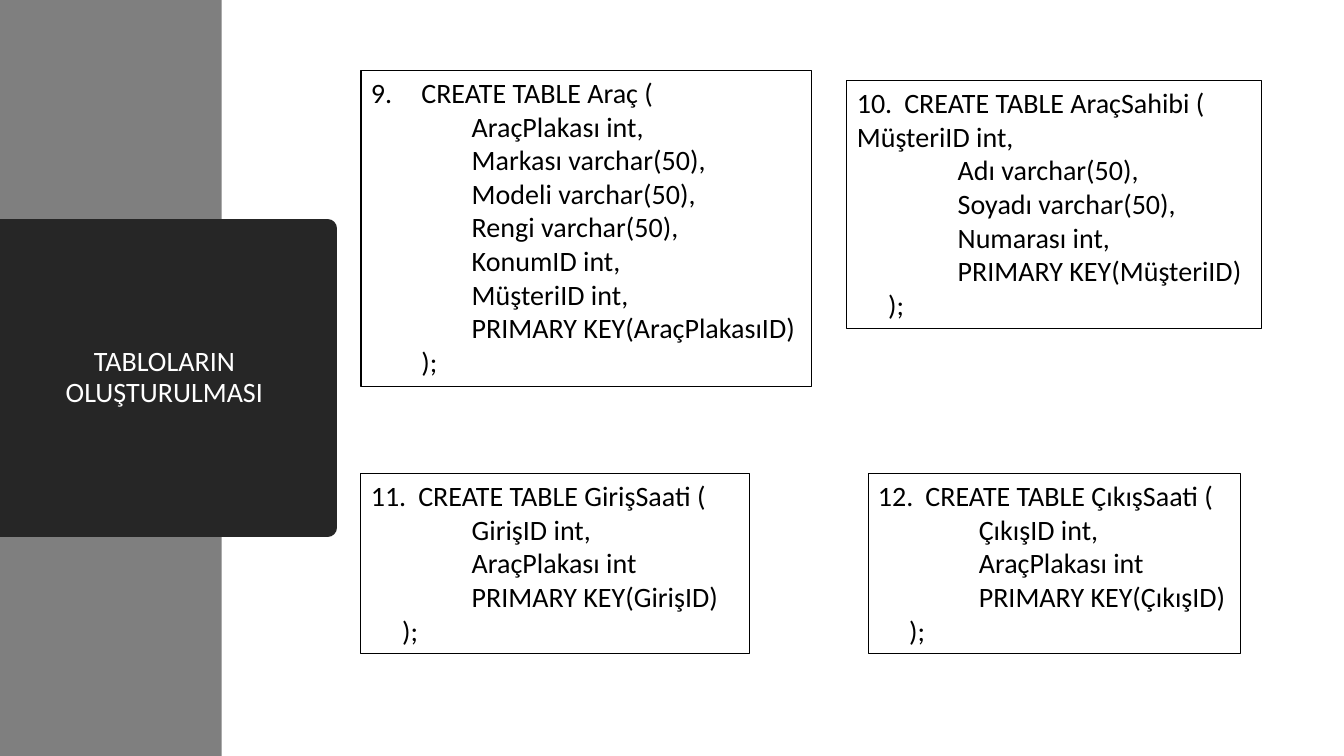
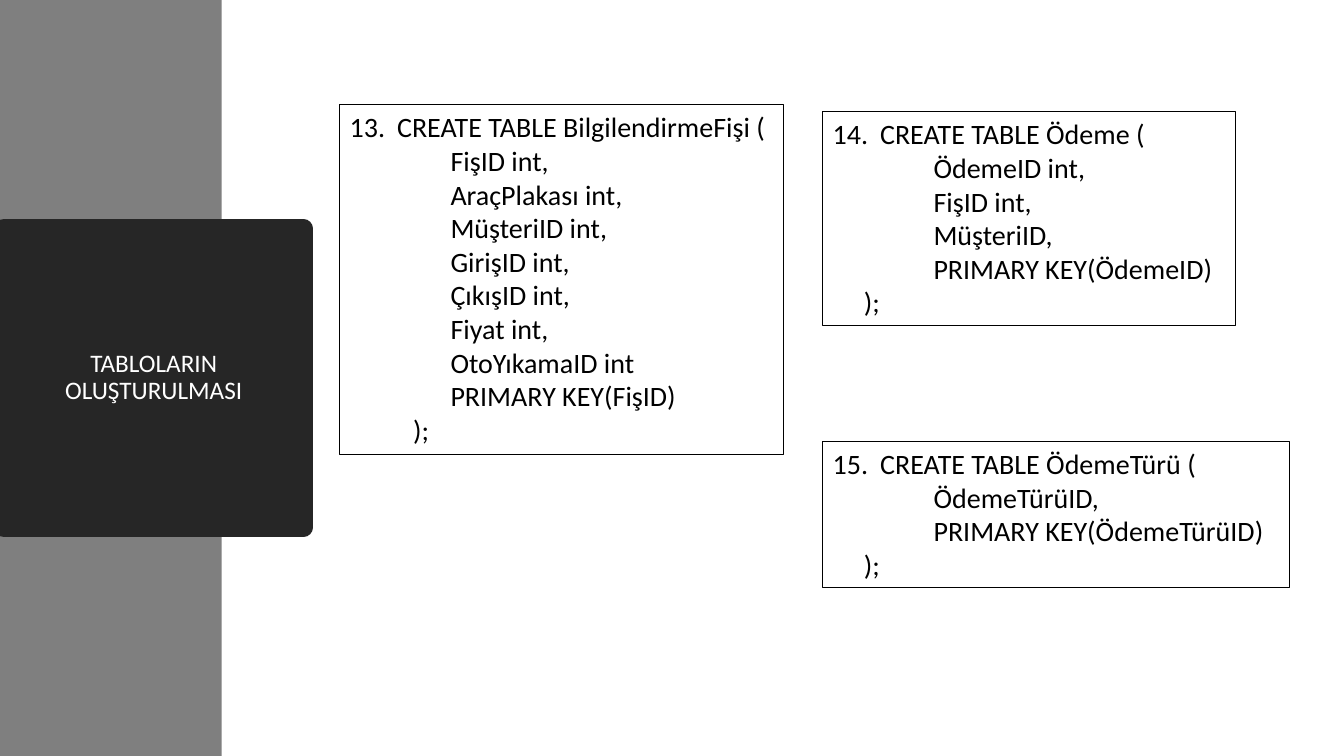
from lxml.etree import SubElement as Sub
from pptx import Presentation
from pptx.dml.color import RGBColor as Rgb
from pptx.enum.shapes import MSO_SHAPE as Geo
from pptx.enum.text import MSO_ANCHOR as Anchor, MSO_AUTO_SIZE as Auto, PP_ALIGN as Align
from pptx.oxml.ns import qn
from pptx.util import Inches, Pt

WIDE, HIGH = Inches(13.33), Inches(7.5)
HUES = {"band": "7F7F7F", "panel": "262626", "ink": "000000", "light": "FFFFFF"}
FACE = "Calibri"
HEAD = "TABLOLARIN OLUŞTURULMASI"
ROW, PAD = 4.49, 1.33
FIELD, HANG = 1, 0.47

SLIDES = [
    {
        "title": (0.08, 24.31, 20),
        "boxes": [
            (26.86, 9.33, 33.53, 9, "Araç", 0.5, 0.5, [
                "AraçPlakası int,", "Markası varchar(50),", "Modeli varchar(50),",
                "Rengi varchar(50),", "KonumID int,", "MüşteriID int,",
                "PRIMARY KEY(AraçPlakasıID)"]),
            (63.02, 10.67, 30.83, 10, "AraçSahibi", HANG, 0.31, [
                ("MüşteriID int,", 0), "Adı varchar(50),", "Soyadı varchar(50),",
                "Numarası int,", "PRIMARY KEY(MüşteriID)"]),
            (26.86, 62.67, 28.88, 11, "GirişSaati", HANG, 0.31, [
                "GirişID int,", "AraçPlakası int", "PRIMARY KEY(GirişID)"]),
            (64.59, 62.67, 27.68, 12, "ÇıkışSaati", HANG, 0.31, [
                "ÇıkışID int,", "AraçPlakası int", "PRIMARY KEY(ÇıkışID)"]),
        ],
    },
    {
        "title": (0.3, 22.28, 18),
        "boxes": [
            (25.28, 13.87, 33.01, 13, "BilgilendirmeFişi", HANG, 0.63, [
                "FişID int,", "AraçPlakası int,", "MüşteriID int,", "GirişID int,",
                "ÇıkışID int,", "Fiyat int,", "OtoYıkamaID int",
                "PRIMARY KEY(FişID)"]),
            (61.22, 14.8, 30.68, 14, "Ödeme", HANG, 0.31, [
                "ÖdemeID int,", "FişID int,", "MüşteriID,", "PRIMARY KEY(ÖdemeID)"]),
            (61.22, 58.4, 34.73, 15, "ÖdemeTürü", HANG, 0.31, [
                "ÖdemeTürüID,", "PRIMARY KEY(ÖdemeTürüID)"]),
        ],
    },
]


def hue(name):
    return Rgb.from_string(HUES[name])


def area(left, top, width, height):
    return [int(share * side / 100) for share, side in
            zip((left, top, width, height), (WIDE, HIGH, WIDE, HIGH))]


def style(item, **values):
    for name, value in values.items():
        setattr(item, name, value)


def paint(shape, name):
    shape.fill.solid()
    shape.fill.fore_color.rgb = hue(name)


def edge(shape, name, width):
    shape.line.color.rgb = hue(name)
    shape.line.width = Pt(width)


def write(para, text, size, name):
    run = para.add_run()
    style(run, text=text)
    style(run.font, name=FACE, size=Pt(size))
    run.font.color.rgb = hue(name)


def indent(para, left, hang=0, start=None):
    props = para._p.get_or_add_pPr()
    props.set("marL", str(Inches(left)))
    props.set("indent", str(-Inches(hang)))
    if start:
        Sub(props, qn("a:buFont"), typeface="+mj-lt")
        Sub(props, qn("a:buAutoNum"), type="arabicPeriod", startAt=str(start))


def side(slide, left, width, size):
    title = slide.shapes.title
    band = slide.shapes.add_shape(Geo.RECTANGLE, *area(0, 0, 16.5, 100))
    band.shadow.inherit = False
    paint(band, "band")
    band.line.fill.background()
    title.element.addprevious(band.element)
    spot = area(left, 30.27, width, 39.47)
    style(title, **dict(zip(("left", "top", "width", "height"), spot)))
    paint(title, "panel")
    edge(title, "panel", 13.75)
    frame = title.text_frame
    style(frame, word_wrap=True, auto_size=Auto.NONE, vertical_anchor=Anchor.MIDDLE)
    para = frame.paragraphs[0]
    style(para, alignment=Align.CENTER, line_spacing=0.9)
    write(para, HEAD, size, "light")


def code(slide, left, top, width, number, table, hang, close, fields):
    height = (len(fields) + 2) * ROW + PAD
    box = slide.shapes.add_textbox(*area(left, top, width, height))
    edge(box, "ink", 0.75)
    frame = box.text_frame
    style(frame, word_wrap=True, auto_size=Auto.SHAPE_TO_FIT_TEXT)
    para = frame.paragraphs[0]
    indent(para, hang, hang, number)
    write(para, f"CREATE TABLE {table} (", 20, "ink")
    for field in [*fields, (");", close)]:
        text, inset = field if isinstance(field, tuple) else (field, FIELD)
        para = frame.add_paragraph()
        indent(para, inset)
        write(para, text, 20, "ink")


def main():
    deck = Presentation()
    style(deck, slide_width=WIDE, slide_height=HIGH)
    for page in SLIDES:
        slide = deck.slides.add_slide(deck.slide_layouts[5])
        side(slide, *page["title"])
        for box in page["boxes"]:
            code(slide, *box)
    deck.save("out.pptx")


if __name__ == "__main__":
    main()
